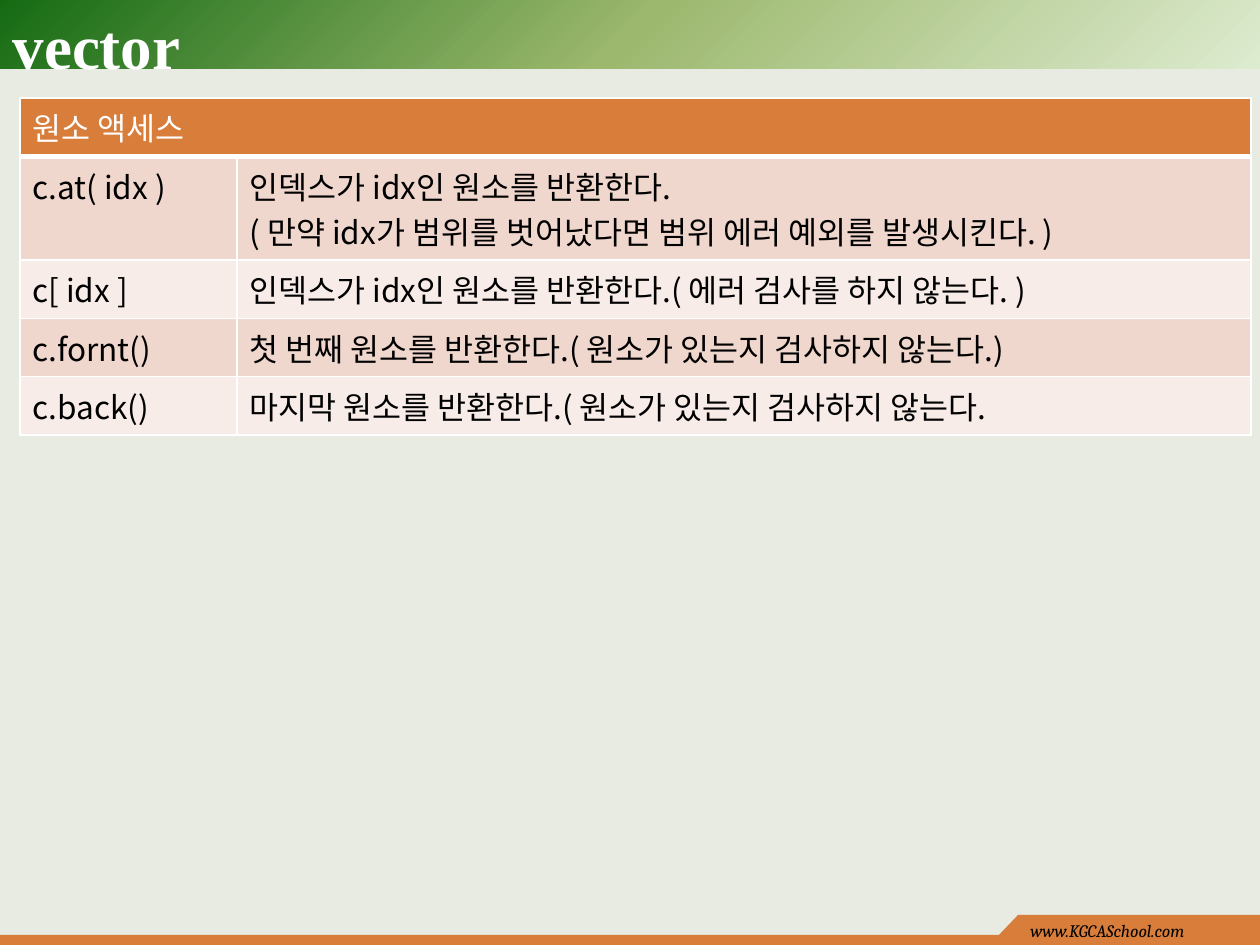
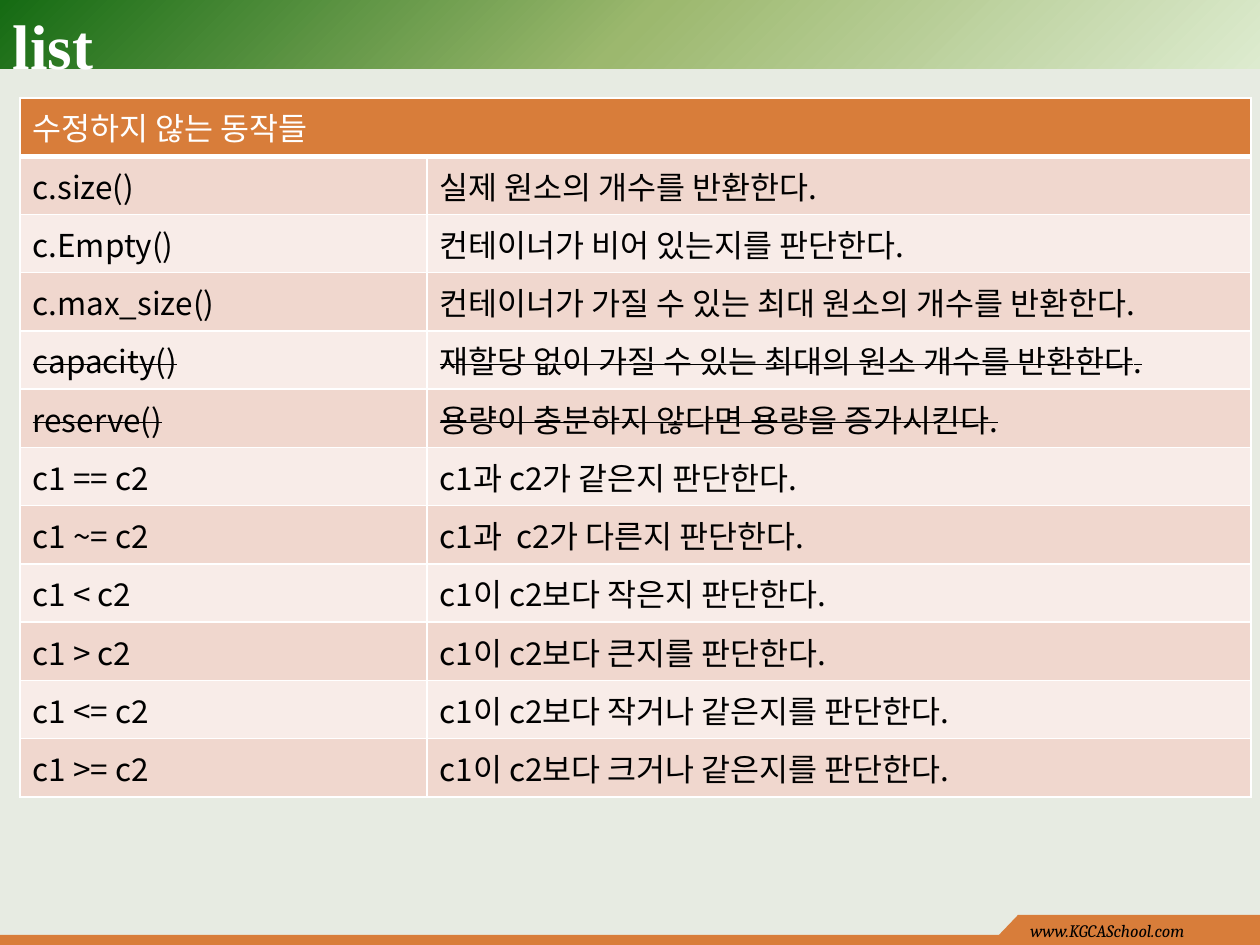
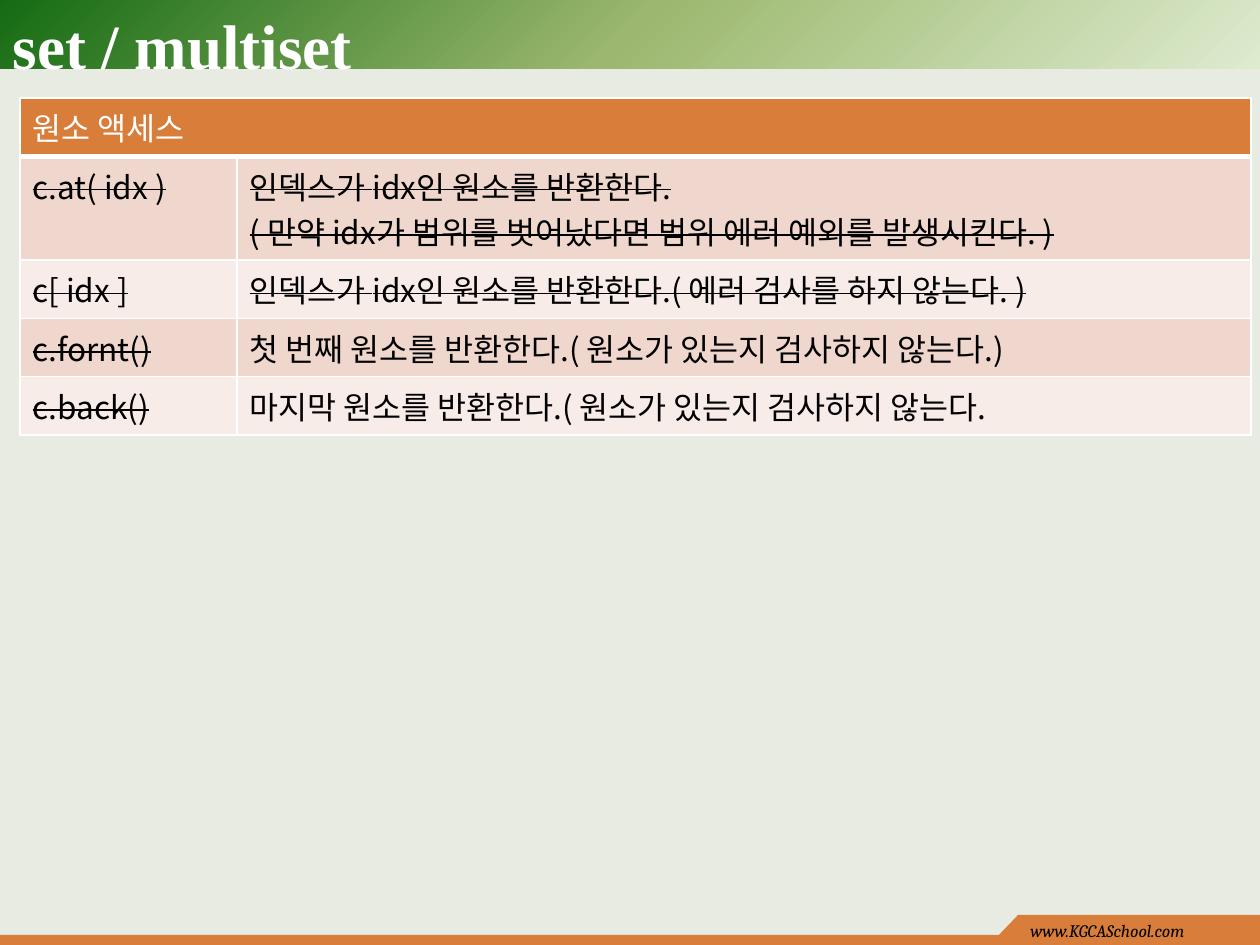
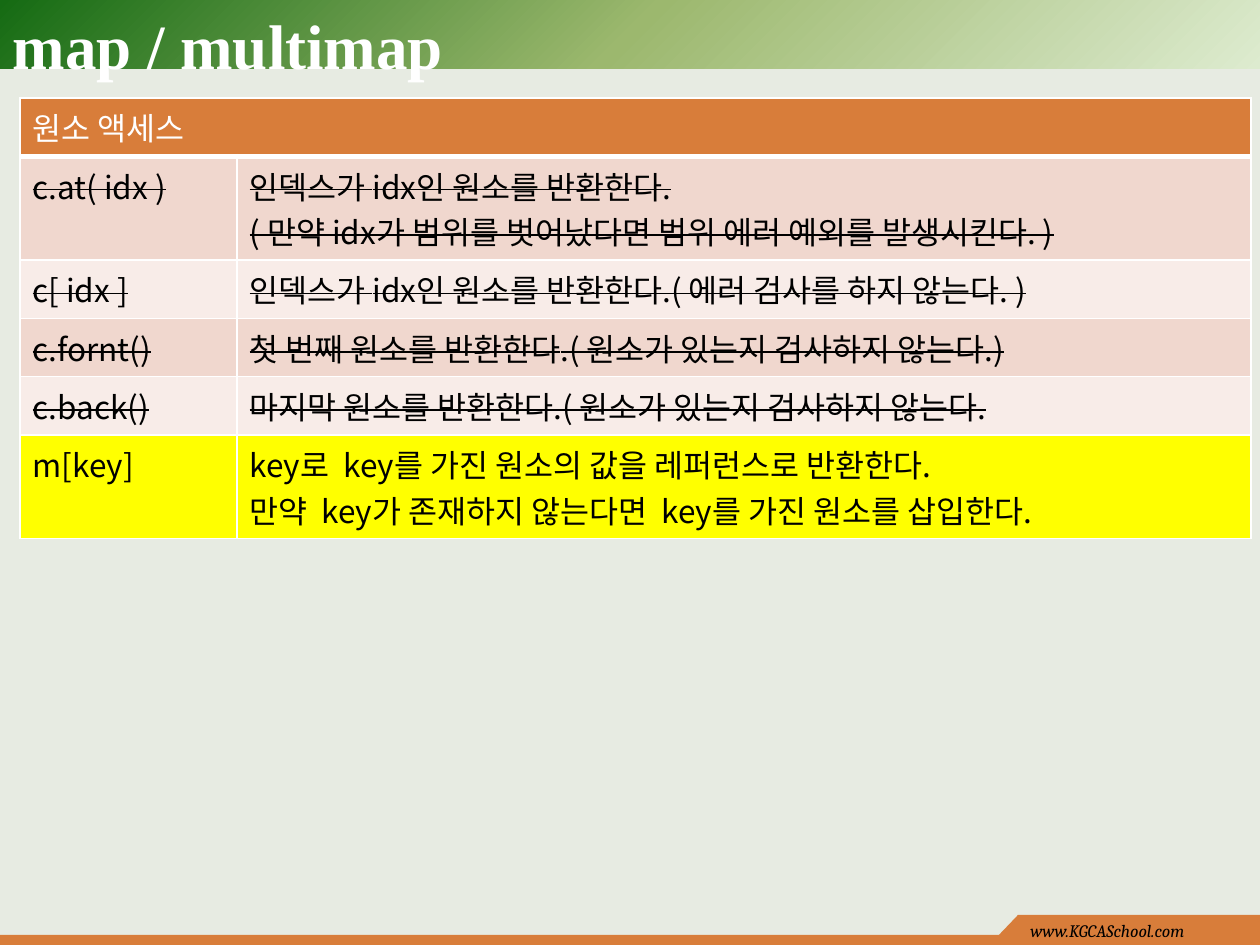
from dataclasses import dataclass

from lxml.etree import SubElement
from pptx import Presentation
from pptx.dml.color import RGBColor
from pptx.enum.shapes import MSO_SHAPE
from pptx.enum.text import MSO_ANCHOR, PP_ALIGN
from pptx.oxml import parse_xml
from pptx.oxml.ns import nsdecls, qn
from pptx.util import Pt


# Theme: colours, fonts and type sizes
@dataclass(frozen=True)
class Theme:
    page: str = "E7EBE2"
    band: tuple = ((0, "DDEBCF"), (50, "9CB86E"), (100, "156B13"))
    accent: str = "D87D3A"
    dark: str = "F0D7CE"
    pale: str = "F8ECE8"
    mark: str = "FFFF00"
    white: str = "FFFFFF"
    black: str = "000000"
    head: str = "Times New Roman"
    body: str = "Noto Sans CJK KR"
    foot: str = "Cambria"
    head_size: int = 36
    body_size: int = 18
    foot_size: int = 10
    line: int = 1
    rule: int = 3


THEME = Theme()
SCALE = 914400 / 126
WIDTH, HEIGHT = 1260, 945


@dataclass
class Row:
    code: str
    note: str
    cut_code: bool = False
    cut_note: bool = False
    fill: str = ""


def px(num):
    return round(num * SCALE)


def box(*nums):
    return [px(num) for num in nums]


def rgb(code):
    return RGBColor.from_string(code)


# Text
def add_run(para, text, font, size, color, bold=False, slant=False, cut=False):
    run = para.add_run()
    run.text = text
    run.font.name = font
    run.font.size = Pt(size)
    run.font.bold = bold
    run.font.italic = slant
    run.font.color.rgb = rgb(color)
    props = run._r.get_or_add_rPr()
    SubElement(props, qn("a:ea"), typeface=font)
    if cut:
        props.set("strike", "sngStrike")


def add_title(slide, text):
    title = slide.shapes.title
    title.left, title.top, title.width, title.height = box(0, 0, 1134, 88)
    frame = title.text_frame
    frame.vertical_anchor = MSO_ANCHOR.MIDDLE
    para = frame.paragraphs[0]
    para.alignment = PP_ALIGN.LEFT
    add_run(para, text, THEME.head, THEME.head_size, THEME.white, bold=True)


# Shared bands
def paint(shape, color):
    shape.shadow.inherit = False
    shape.line.fill.background()
    shape.fill.solid()
    shape.fill.fore_color.rgb = rgb(color)


def add_rect(shapes, *place):
    rect = shapes.add_shape(MSO_SHAPE.RECTANGLE, *box(*place))
    paint(rect, THEME.accent)
    return rect


def add_glow(shape, stops):
    marks = "".join(
        f'<a:gs pos="{pos * 1000}"><a:srgbClr val="{color}"/></a:gs>'
        for pos, color in stops)
    glow = parse_xml(
        f'<a:gradFill {nsdecls("a")} rotWithShape="1"><a:gsLst>{marks}</a:gsLst>'
        '<a:path path="circle"><a:fillToRect l="100000" t="100000"/></a:path>'
        '</a:gradFill>')
    solid = shape.element.spPr.find(qn("a:solidFill"))
    solid.getparent().replace(solid, glow)


def add_foot(shapes):
    group = shapes.add_group_shape()
    add_rect(group.shapes, 0, 935, WIDTH, 10)
    add_rect(group.shapes, 1018, 915, 242, 21)
    pen = group.shapes.build_freeform(px(998), px(936))
    pen.add_line_segments([box(1018, 936), box(1018, 915)], close=True)
    paint(pen.convert_to_shape(), THEME.accent)
    label = shapes.add_textbox(*box(1018, 914, 242, 32))
    label.text_frame.word_wrap = True
    add_run(label.text_frame.paragraphs[0], "www.KGCASchool.com",
            THEME.foot, THEME.foot_size, THEME.black, slant=True)
    return group, label


def dress(layout, slide):
    """Draw the bands on a slide, then move them to its layout."""
    layout.background.fill.solid()
    layout.background.fill.fore_color.rgb = rgb(THEME.page)
    band = add_rect(slide.shapes, 0, 0, WIDTH, 69)
    add_glow(band, THEME.band)
    parts = (band, *add_foot(slide.shapes))
    for spot, part in enumerate(parts, start=2):
        layout.shapes.element.insert(spot, part.element)


# Table
def edge(cell, low):
    props = cell._tc.get_or_add_tcPr()
    for spot, side in enumerate("LRTB"):
        wide = Pt(low if side == "B" else THEME.line)
        props.insert(spot, parse_xml(
            f'<a:ln{side} {nsdecls("a")} w="{wide}"><a:solidFill>'
            f'<a:srgbClr val="{THEME.white}"/></a:solidFill></a:ln{side}>'))


def fill_cell(cell, text, fill, color=THEME.black, cut=False, low=THEME.line):
    cell.fill.solid()
    cell.fill.fore_color.rgb = rgb(fill)
    edge(cell, low)
    para = cell.text_frame.paragraphs[0]
    for num, line in enumerate(text.split("\n")):
        if num:
            para.add_line_break()
        add_run(para, line, THEME.body, THEME.body_size, color, cut=cut)


def add_grid(slide, head, rows, split):
    count, tall, wide = len(rows) + 1, 52, 1231
    grid = slide.shapes.add_table(
        count, 2, *box(20, 98, wide, tall * count)).table
    grid.first_row = grid.horz_banding = False
    for col, size in zip(grid.columns, (split, wide - split)):
        col.width = px(size)
    # Heading across both columns
    for col, text in enumerate((head, "")):
        fill_cell(grid.cell(0, col), text, THEME.accent, THEME.white,
                  low=THEME.rule)
    grid.cell(0, 0).merge(grid.cell(0, 1))
    # Banded rows
    for num, row in enumerate(rows, start=1):
        fill = row.fill or (THEME.dark if num % 2 else THEME.pale)
        fill_cell(grid.cell(num, 0), row.code, fill, cut=row.cut_code)
        fill_cell(grid.cell(num, 1), row.note, fill, cut=row.cut_note)


# Content
ACCESS = (
    ("c.at( idx )", "인덱스가 idx인 원소를 반환한다.\n"
     "( 만약 idx가 범위를 벗어났다면 범위 에러 예외를 발생시킨다. )"),
    ("c[ idx ]", "인덱스가 idx인 원소를 반환한다.( 에러 검사를 하지 않는다. )"),
    ("c.fornt()", "첫 번째 원소를 반환한다.( 원소가 있는지 검사하지 않는다.)"),
    ("c.back()", "마지막 원소를 반환한다.( 원소가 있는지 검사하지 않는다."),
)
FIXED = [
    Row("c.size()", "실제 원소의 개수를 반환한다."),
    Row("c.Empty()", "컨테이너가 비어 있는지를 판단한다."),
    Row("c.max_size()", "컨테이너가 가질 수 있는 최대 원소의 개수를 반환한다."),
    Row("capacity()", "재할당 없이 가질 수 있는 최대의 원소 개수를 반환한다.",
        True, True),
    Row("reserve()", "용량이 충분하지 않다면 용량을 증가시킨다.", True, True),
    Row("c1 == c2", "c1과 c2가 같은지 판단한다."),
    Row("c1 ~= c2", "c1과  c2가 다른지 판단한다."),
    Row("c1 < c2", "c1이 c2보다 작은지 판단한다."),
    Row("c1 > c2", "c1이 c2보다 큰지를 판단한다."),
    Row("c1 <= c2", "c1이 c2보다 작거나 같은지를 판단한다."),
    Row("c1 >= c2", "c1이 c2보다 크거나 같은지를 판단한다."),
]
BY_KEY = Row("m[key]", "key로  key를 가진 원소의 값을 레퍼런스로 반환한다.\n"
             "만약  key가 존재하지 않는다면  key를 가진 원소를 삽입한다.",
             fill=THEME.mark)


def access(codes=0, notes=0):
    """Access rows, with the first codes and notes struck out."""
    return [Row(code, note, num < codes, num < notes)
            for num, (code, note) in enumerate(ACCESS)]


def main():
    deck = Presentation()
    deck.slide_width, deck.slide_height = box(WIDTH, HEIGHT)
    layout = deck.slide_layouts.get_by_name("Title Only")
    reach = "원소 액세스"
    pages = (
        ("vector", reach, access(), 217),
        ("list", "수정하지 않는 동작들", FIXED, 407),
        ("set / multiset", reach, access(4, 2), 217),
        ("map / multimap", reach, access(4, 4) + [BY_KEY], 217),
    )
    for num, (title, head, rows, split) in enumerate(pages):
        slide = deck.slides.add_slide(layout)
        if num == 0:
            dress(layout, slide)
        add_title(slide, title)
        add_grid(slide, head, rows, split)
    deck.save("out.pptx")


if __name__ == "__main__":
    main()
